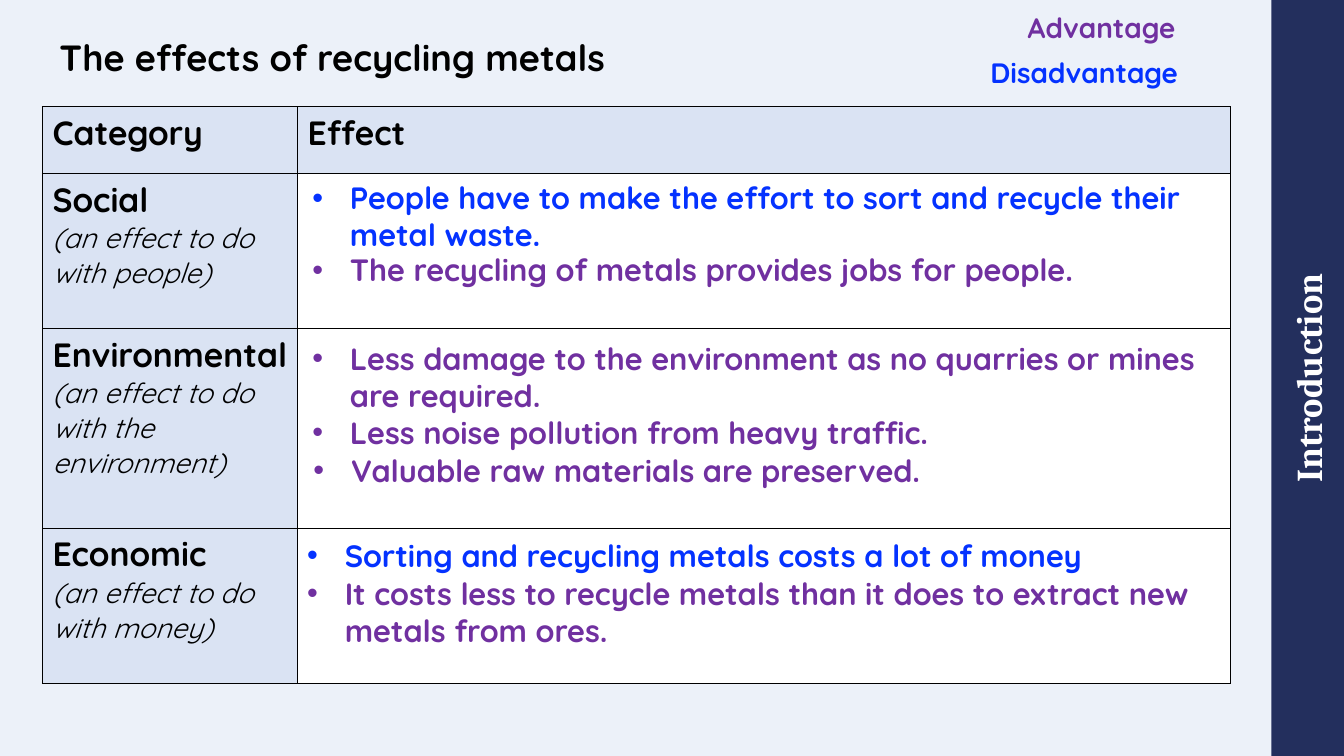
from lxml.etree import SubElement
from pptx import Presentation
from pptx.dml.color import RGBColor
from pptx.enum.shapes import MSO_SHAPE
from pptx.enum.text import MSO_ANCHOR, PP_ALIGN
from pptx.oxml.ns import qn
from pptx.util import Cm, Pt

COLOURS = {
    "page": "ECF1F9", "sidebar": "232F5D", "label": "DAE3F3", "white": "FFFFFF",
    "black": "000000", "advantage": "7030A0", "disadvantage": "0432FF",
}
TITLE = "The effects of recycling metals"
SECTION = "Introduction"
HEADINGS = ("Category", "Effect")
CATEGORIES = [
    ("Social", "(an effect to do with people)"),
    ("Environmental", "(an effect to do with the environment)"),
    ("Economic", "(an effect to do with money)"),
]
LEGEND = [
    ("Advantage", "advantage", 25.65, 0.13, 4.42),
    ("Disadvantage", "disadvantage", 24.71, 1.27, 5.36),
]
EFFECTS = [
    (7.62, 4.39, 2.13, "disadvantage",
     ["People have to make the effort to sort and recycle their metal waste."]),
    (7.62, 6.2, 1.19, "advantage", ["The recycling of metals provides jobs for people."]),
    (7.62, 8.43, 3.07, "advantage",
     ["Less damage to the environment as no quarries or mines are required.",
      "Less noise pollution from heavy traffic."]),
    (7.65, 11.25, 1.19, "advantage", ["Valuable raw materials are preserved."]),
    (7.49, 13.39, 1.19, "disadvantage", ["Sorting and recycling metals costs a lot of money"]),
    (7.49, 14.35, 2.13, "advantage",
     ["It costs less to recycle metals than it does to extract new metals from ores."]),
]
COLUMN_WIDTHS = (6.43, 23.5)
ROW_HEIGHTS = (1.68, 3.91, 5.03, 3.91)
PAGE_WIDTH, PAGE_HEIGHT = 33.87, 19.05
SIDEBAR_WIDTH = 1.83
EFFECT_WIDTH = 23.37
HANGING_INDENT = 0.95


def colour(name):
    return RGBColor.from_string(COLOURS[name])


def style(paragraph, size, name="black", bold=True, italic=False, font="Quicksand"):
    for span in paragraph.runs:
        span.font.name = font
        span.font.size = Pt(size)
        span.font.bold = bold
        span.font.italic = italic
        span.font.color.rgb = colour(name)


def add_text(page, place, lines, size, name="black", wrap=True):
    box = page.shapes.add_textbox(*map(Cm, place))
    frame = box.text_frame
    frame.word_wrap = wrap
    frame.text = "\n".join(lines)
    for paragraph in frame.paragraphs:
        style(paragraph, size, name)
    return frame


def add_bullet(paragraph):
    properties = paragraph._p.get_or_add_pPr()
    properties.set("marL", str(Cm(HANGING_INDENT)))
    properties.set("indent", str(-Cm(HANGING_INDENT)))
    SubElement(properties, qn("a:buFont"), typeface="Arial")
    SubElement(properties, qn("a:buChar"), char="•")


def format_cell(cell, fill):
    properties = cell._tc.get_or_add_tcPr()
    for side in ("lnL", "lnR", "lnT", "lnB"):
        line = SubElement(properties, qn(f"a:{side}"), w=str(Pt(1)))
        solid = SubElement(line, qn("a:solidFill"))
        SubElement(solid, qn("a:srgbClr"), val=COLOURS["black"])
    cell.fill.solid()
    cell.fill.fore_color.rgb = colour(fill)


def add_sidebar(page):
    left = PAGE_WIDTH - (PAGE_HEIGHT + SIDEBAR_WIDTH) / 2
    top = (PAGE_HEIGHT - SIDEBAR_WIDTH) / 2
    bar = page.shapes.add_shape(
        MSO_SHAPE.RECTANGLE, Cm(left), Cm(top), Cm(PAGE_HEIGHT), Cm(SIDEBAR_WIDTH))
    bar.rotation = 270
    bar.shadow.inherit = False
    bar.fill.solid()
    bar.fill.fore_color.rgb = colour("sidebar")
    bar.line.fill.background()
    frame = bar.text_frame
    frame.margin_left = frame.margin_right = frame.margin_top = frame.margin_bottom = 0
    frame.vertical_anchor = MSO_ANCHOR.MIDDLE
    frame.text = SECTION
    frame.paragraphs[0].alignment = PP_ALIGN.CENTER
    style(frame.paragraphs[0], 26, "white", font="Cambria")


def add_category_table(page):
    table = page.shapes.add_table(
        len(ROW_HEIGHTS), len(COLUMN_WIDTHS), Cm(1.07), Cm(2.69),
        Cm(sum(COLUMN_WIDTHS)), Cm(sum(ROW_HEIGHTS))).table
    for column, width in zip(table.columns, COLUMN_WIDTHS):
        column.width = Cm(width)
    for row, height in zip(table.rows, ROW_HEIGHTS):
        row.height = Cm(height)
    rows = [HEADINGS] + [("\n".join(category), "") for category in CATEGORIES]
    for row_index, texts in enumerate(rows):
        for column_index, text in enumerate(texts):
            cell = table.cell(row_index, column_index)
            format_cell(cell, "label" if text else "white")
            cell.text_frame.text = text
            heading, *details = cell.text_frame.paragraphs
            style(heading, 24)
            for detail in details:
                style(detail, 20, bold=False, italic=True)


def main():
    """Build the slide on the effects of recycling metals."""
    deck = Presentation()
    deck.slide_width, deck.slide_height = Cm(PAGE_WIDTH), Cm(PAGE_HEIGHT)
    page = deck.slides.add_slide(deck.slide_layouts[6])
    page.background.fill.solid()
    page.background.fill.fore_color.rgb = colour("page")
    add_sidebar(page)

    title = add_text(page, (1.5, 0, 29.49, 2.01), [TITLE], 26)
    title.margin_left = title.margin_right = title.margin_top = title.margin_bottom = 0
    title.vertical_anchor = MSO_ANCHOR.BOTTOM
    title.paragraphs[0].line_spacing = 0.9

    add_category_table(page)
    for text, name, left, top, width in LEGEND:
        add_text(page, (left, top, width, 1.12), [text], 20, name, wrap=False)
    for left, top, height, name, lines in EFFECTS:
        frame = add_text(page, (left, top, EFFECT_WIDTH, height), lines, 22, name)
        for paragraph in frame.paragraphs:
            add_bullet(paragraph)
    deck.save("out.pptx")


if __name__ == "__main__":
    main()
